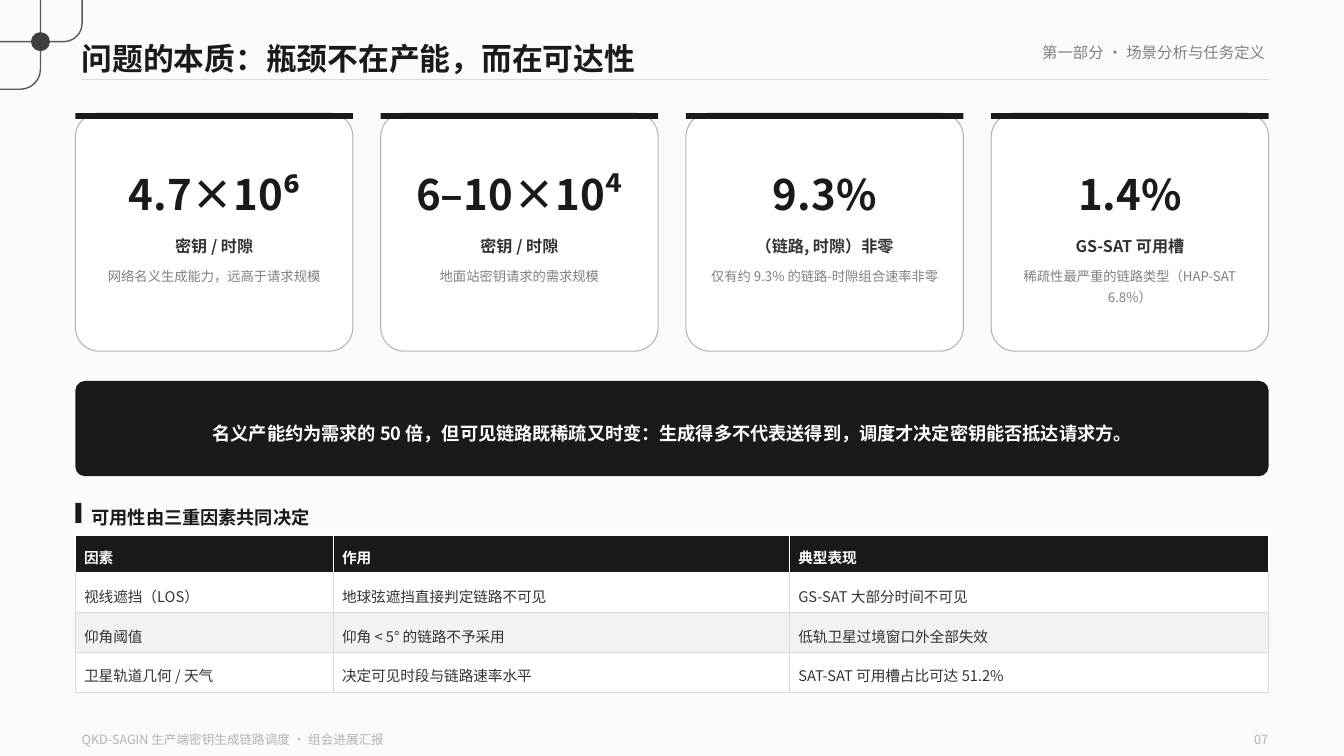
from dataclasses import dataclass

from lxml.etree import SubElement
from pptx import Presentation
from pptx.dml.color import RGBColor
from pptx.enum.shapes import MSO_CONNECTOR, MSO_SHAPE
from pptx.enum.text import MSO_ANCHOR, MSO_AUTO_SIZE, PP_ALIGN
from pptx.oxml.ns import qn
from pptx.util import Cm, Pt


@dataclass(frozen=True)
class Theme:
    font: str = "Noto Sans CJK SC"
    paper: str = "FBFBFB"
    white: str = "FFFFFF"
    ink: str = "1A1A1A"
    body: str = "333333"
    muted: str = "808080"
    faint: str = "B3B3B3"
    rule: str = "D9D9D9"
    band: str = "F2F2F2"
    ornament: str = "595959"
    dot: str = "404040"
    figure_size: float = 30
    title_size: float = 22
    heading_size: float = 13
    label_size: float = 11.5
    tag_size: float = 11
    table_size: float = 10.5
    note_size: float = 9.5
    footer_size: float = 9


@dataclass(frozen=True)
class Box:
    """A region in centimetres."""
    left: float
    top: float
    width: float
    height: float

    def inner(self, left, top, width, height):
        return Box(self.left + left, self.top + top, width, height)

    def lengths(self):
        return Cm(self.left), Cm(self.top), Cm(self.width), Cm(self.height)


THEME = Theme()

CARDS = [
    ("4.7×10⁶", "密钥 / 时隙", "网络名义生成能力，远高于请求规模"),
    ("6–10×10⁴", "密钥 / 时隙", "地面站密钥请求的需求规模"),
    ("9.3%", "（链路, 时隙）非零", "仅有约 9.3% 的链路-时隙组合速率非零"),
    ("1.4%", "GS-SAT 可用槽", "稀疏性最严重的链路类型（HAP-SAT 6.8%）"),
]
FACTORS = [
    ("因素", "作用", "典型表现"),
    ("视线遮挡（LOS）", "地球弦遮挡直接判定链路不可见", "GS-SAT 大部分时间不可见"),
    ("仰角阈值", "仰角 < 5° 的链路不予采用", "低轨卫星过境窗口外全部失效"),
    ("卫星轨道几何 / 天气", "决定可见时段与链路速率水平", "SAT-SAT 可用槽占比可达 51.2%"),
]


def color(value):
    return RGBColor.from_string(value)


def write(frame, text, size, ink, bold=False, align=PP_ALIGN.LEFT, spacing=1.3,
          anchor=MSO_ANCHOR.TOP):
    frame.word_wrap = True
    frame.auto_size = MSO_AUTO_SIZE.NONE
    frame.vertical_anchor = anchor
    frame.margin_left = frame.margin_right = frame.margin_top = frame.margin_bottom = 0
    write_para(frame.paragraphs[0], text, size, ink, bold, align, spacing)


def write_para(para, text, size, ink, bold=False, align=PP_ALIGN.LEFT, spacing=1.3):
    para.alignment = align
    para.line_spacing = spacing
    span = para.add_run()
    span.text = text
    span.font.name = THEME.font
    span.font.size = Pt(size)
    span.font.bold = bold
    span.font.color.rgb = color(ink)
    SubElement(span.font._element, qn("a:ea"), typeface=THEME.font)


def add_text(page, box, *content, **style):
    write(page.shapes.add_textbox(*box.lengths()).text_frame, *content, **style)


def add_block(page, kind, box, fill=None, line=None, line_width=1.0, rounding=None):
    block = page.shapes.add_shape(kind, *box.lengths())
    block.shadow.inherit = False
    if rounding is not None:
        block.adjustments[0] = rounding
    if fill:
        block.fill.solid()
        block.fill.fore_color.rgb = color(fill)
    else:
        block.fill.background()
    if line:
        block.line.color.rgb = color(line)
        block.line.width = Pt(line_width)
    else:
        block.line.fill.background()
    return block


def add_ornament(page, box):
    # Two rounded outlines run in from the corner and cross at the dot
    for outline, rounding in ((box.inner(-3.48, -1.14, 4.5, 3.39), 0.149),
                              (box.inner(-1.63, -0.94, 3.7, 1.99), 0.231)):
        add_block(page, MSO_SHAPE.ROUNDED_RECTANGLE, outline,
                  line=THEME.ornament, rounding=rounding)
    add_block(page, MSO_SHAPE.OVAL, box.inner(0.78, 0.81, 0.48, 0.48), THEME.dot)


def add_header(page, box, title, section):
    heading = page.shapes.title
    heading.left, heading.top, heading.width, heading.height = box.inner(0, 0, 20, 1.2).lengths()
    write(heading.text_frame, title, THEME.title_size, THEME.ink, bold=True)
    rule_top = Cm(box.top + box.height)
    rule = page.shapes.add_connector(MSO_CONNECTOR.STRAIGHT, Cm(box.left), rule_top,
                                     Cm(box.left + box.width), rule_top)
    rule.line.color.rgb = color(THEME.rule)
    rule.line.width = Pt(1)
    SubElement(rule._element.spPr, qn("a:effectLst"))
    add_text(page, box.inner(box.width - 10.49, 0.23, 10.4, 0.79), section,
             THEME.tag_size, THEME.muted, align=PP_ALIGN.RIGHT)


def add_card(page, box, figure, label, note):
    add_block(page, MSO_SHAPE.ROUNDED_RECTANGLE, box, THEME.white, THEME.faint, 0.75, 0.1)
    add_block(page, MSO_SHAPE.RECTANGLE, box.inner(0, 0, box.width, 0.15), THEME.ink)
    text_width = box.width - 0.8
    add_text(page, box.inner(0.4, 1.02, text_width, 1.8), figure, THEME.figure_size,
             THEME.ink, bold=True, align=PP_ALIGN.CENTER)
    add_text(page, box.inner(0.4, 2.95, text_width, 0.79), label, THEME.label_size,
             THEME.body, bold=True, align=PP_ALIGN.CENTER)
    add_text(page, box.inner(0.45, 3.76, text_width - 0.1, 2), note, THEME.note_size,
             THEME.muted, align=PP_ALIGN.CENTER, spacing=1.35)


def add_card_row(page, box, cards, gap=0.7):
    width = (box.width - gap * (len(cards) - 1)) / len(cards)
    for index, card in enumerate(cards):
        add_card(page, box.inner(index * (width + gap), 0, width, box.height), *card)


def add_conclusion(page, box, text):
    panel = add_block(page, MSO_SHAPE.ROUNDED_RECTANGLE, box, THEME.ink, rounding=0.1)
    write(panel.text_frame, text, THEME.heading_size, THEME.white, bold=True,
          align=PP_ALIGN.CENTER, spacing=1.45, anchor=MSO_ANCHOR.MIDDLE)


def add_borders(cell):
    properties = cell._tc.get_or_add_tcPr()
    for index, side in enumerate(("a:lnL", "a:lnR", "a:lnT", "a:lnB")):
        border = properties.makeelement(qn(side), {"w": str(Pt(0.5))})
        fill = SubElement(border, qn("a:solidFill"))
        SubElement(fill, qn("a:srgbClr"), val=THEME.rule)
        properties.insert(index, border)


def add_factor_table(page, box, heading, rows):
    # Heading with its marker
    add_block(page, MSO_SHAPE.RECTANGLE, box.inner(0, 0.07, 0.15, 0.51), THEME.ink)
    add_text(page, box.inner(0.41, 0, box.width - 0.41, 0.71), heading,
             THEME.heading_size, THEME.ink, bold=True)
    # Table
    grid = box.inner(0, 0.89, box.width, box.height - 0.89)
    table = page.shapes.add_table(len(rows), len(rows[0]), *grid.lengths()).table
    table.horz_banding = False
    for column, width in zip(table.columns, (6.5, 11.5, box.width - 18)):
        column.width = Cm(width)
    for row_index, texts in enumerate(rows):
        is_header = row_index == 0
        table.rows[row_index].height = Cm(0.95 if is_header else 1)
        fill = THEME.ink if is_header else (THEME.white if row_index % 2 else THEME.band)
        for column_index, text in enumerate(texts):
            cell = table.cell(row_index, column_index)
            cell.fill.solid()
            cell.fill.fore_color.rgb = color(fill)
            cell.margin_left = cell.margin_right = Cm(0.22)
            cell.margin_top = cell.margin_bottom = Cm(0.1)
            cell.vertical_anchor = MSO_ANCHOR.MIDDLE
            write_para(cell.text_frame.paragraphs[0], text, THEME.table_size,
                       THEME.white if is_header else THEME.body, bold=is_header)
            if not is_header:
                add_borders(cell)


def add_footer(page, box, text, number):
    add_text(page, box.inner(0, 0, 16, box.height), text, THEME.footer_size, THEME.faint)
    add_text(page, box.inner(box.width - 4, 0, 4, box.height), number,
             THEME.footer_size, THEME.faint, align=PP_ALIGN.RIGHT)


def main():
    deck = Presentation()
    deck.slide_width, deck.slide_height = Cm(33.87), Cm(19.05)
    page = deck.slides.add_slide(deck.slide_layouts[5])
    page.background.fill.solid()
    page.background.fill.fore_color.rgb = color(THEME.paper)

    add_ornament(page, Box(0, 0, 2.1, 2.3))
    add_header(page, Box(2.06, 0.71, 29.92, 1.3),
               "问题的本质：瓶颈不在产能，而在可达性", "第一部分 · 场景分析与任务定义")
    add_card_row(page, Box(1.9, 2.85, 30.07, 6), CARDS)
    add_conclusion(page, Box(1.9, 9.6, 30.07, 2.4),
                   "名义产能约为需求的 50 倍，但可见链路既稀疏又时变："
                   "生成得多不代表送得到，调度才决定密钥能否抵达请求方。")
    add_factor_table(page, Box(1.9, 12.6, 30.07, 4.84), "可用性由三重因素共同决定", FACTORS)
    add_footer(page, Box(2.06, 18.34, 29.9, 0.5),
               "QKD-SAGIN 生产端密钥生成链路调度 · 组会进展汇报", "07")
    deck.save("out.pptx")


if __name__ == "__main__":
    main()
